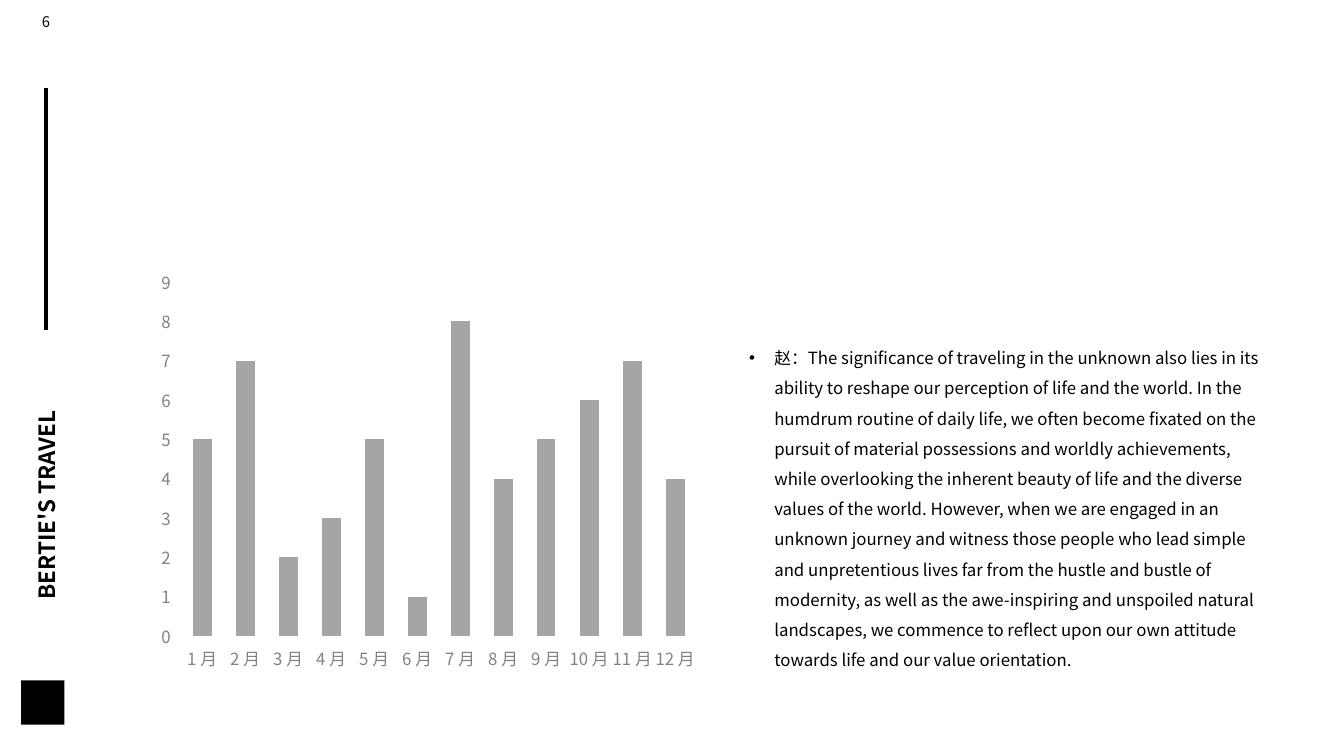
import dataclasses

import pptx
import pptx.chart.data
import pptx.dml.color
import pptx.enum.chart
import pptx.enum.shapes
import pptx.enum.text
import pptx.oxml
import pptx.oxml.ns
import pptx.util
from pptx.util import Inches


@dataclasses.dataclass(frozen=True)
class Theme:
    font: str = "Noto Sans CJK SC"
    ink: str = "000000"
    axis: str = "828282"
    bar: str = "A5A5A5"
    number_size: float = 10.5
    body_size: float = 12
    brand_size: float = 16
    rule_width: float = 3


def color(value):
    return pptx.dml.color.RGBColor.from_string(value)


def add_xml(parent, tag, **attributes):
    element = pptx.oxml.parse_xml(f"<a:{tag} {pptx.oxml.ns.nsdecls('a')}/>")
    for name, value in attributes.items():
        element.set(name, value)
    parent.append(element)


class SlideBuilder:
    def __init__(self, page, theme):
        self.page = page
        self.theme = theme

    def style_font(self, font, size, ink, bold=False):
        font.name = self.theme.font
        font.size = pptx.util.Pt(size)
        font.bold = bold
        font.color.rgb = color(ink)

    def text(self, words, left, top, width, height, size, bold=False):
        box = self.page.shapes.add_textbox(
            Inches(left), Inches(top), Inches(width), Inches(height))
        para = box.text_frame.paragraphs[0]
        para.text = words
        self.style_font(para.font, size, self.theme.ink, bold)
        return box

    def side_label(self, words, left, top, width, height):
        """Bold one-line text that reads upwards and hugs its box."""
        box = self.text(words, left, top, width, height, self.theme.brand_size, True)
        box.rotation = 270
        frame = box.text_frame
        frame.margin_left = frame.margin_right = Inches(0.02)
        frame.margin_top = frame.margin_bottom = Inches(0.02)
        frame.vertical_anchor = pptx.enum.text.MSO_ANCHOR.MIDDLE
        frame.word_wrap = False
        frame.auto_size = pptx.enum.text.MSO_AUTO_SIZE.SHAPE_TO_FIT_TEXT

    def page_number(self, words, left, top, width, height):
        frame = self.text(words, left, top, width, height, self.theme.number_size).text_frame
        frame.word_wrap = True
        frame.paragraphs[0].alignment = pptx.enum.text.PP_ALIGN.CENTER

    def rule(self, x, start, end):
        line = self.page.shapes.add_connector(
            pptx.enum.shapes.MSO_CONNECTOR.STRAIGHT,
            Inches(x), Inches(start), Inches(x), Inches(end))
        line.line.color.rgb = color(self.theme.ink)
        line.line.width = pptx.util.Pt(self.theme.rule_width)
        add_xml(line._element.spPr, "effectLst")

    def block(self, left, top, width, height):
        shape = self.page.shapes.add_shape(
            pptx.enum.shapes.MSO_SHAPE.RECTANGLE,
            Inches(left), Inches(top), Inches(width), Inches(height))
        shape.shadow.inherit = False
        shape.fill.solid()
        shape.fill.fore_color.rgb = color(self.theme.ink)
        shape.line.fill.background()

    def column_chart(self, categories, values, left, top, width, height):
        data = pptx.chart.data.CategoryChartData()
        data.categories = categories
        data.add_series("Series 1", values)
        chart = self.page.shapes.add_chart(
            pptx.enum.chart.XL_CHART_TYPE.COLUMN_CLUSTERED,
            Inches(left), Inches(top), Inches(width), Inches(height), data).chart
        chart.has_legend = False
        chart.has_title = False
        self.style_font(chart.font, self.theme.body_size, self.theme.axis)
        for axis in (chart.category_axis, chart.value_axis):
            axis.has_major_gridlines = False
            axis.format.line.fill.background()
            self.style_font(axis.tick_labels.font, self.theme.body_size, self.theme.axis)
        chart.value_axis.minimum_scale = 0
        chart.value_axis.maximum_scale = 9
        chart.value_axis.major_unit = 1
        plot = chart.plots[0]
        plot.gap_width = 129
        plot.vary_by_categories = False
        fill = plot.series[0].format.fill
        fill.solid()
        fill.fore_color.rgb = color(self.theme.bar)

    def bullet_body(self, words, left, top, width, height):
        body = self.page.placeholders[1]
        body.left, body.top = Inches(left), Inches(top)
        body.width, body.height = Inches(width), Inches(height)
        frame = body.text_frame
        frame.auto_size = pptx.enum.text.MSO_AUTO_SIZE.NONE
        frame.margin_left = 0
        frame.margin_right = Inches(0.1)
        frame.margin_top = frame.margin_bottom = Inches(0.05)
        para = frame.paragraphs[0]
        para.text = words
        para.line_spacing = 1.5
        para.space_before = pptx.util.Pt(10)
        # Hanging bullet
        properties = para._p.get_or_add_pPr()
        properties.set("marL", str(Inches(0.25)))
        properties.set("indent", str(-Inches(0.25)))
        add_xml(properties, "buChar", char="•")
        self.style_font(para.font, self.theme.body_size, self.theme.ink)
        # East Asian font for the speaker's name
        add_xml(para.runs[0]._r.get_or_add_rPr(), "ea", typeface=self.theme.font)


STORY = (
    "赵：The significance of traveling in the unknown also lies in its ability to "
    "reshape our perception of life and the world. In the humdrum routine of daily "
    "life, we often become fixated on the pursuit of material possessions and worldly "
    "achievements, while overlooking the inherent beauty of life and the diverse values "
    "of the world. However, when we are engaged in an unknown journey and witness those "
    "people who lead simple and unpretentious lives far from the hustle and bustle of "
    "modernity, as well as the awe-inspiring and unspoiled natural landscapes, we "
    "commence to reflect upon our own attitude towards life and our value orientation."
)
MONTHS = [f"{month} 月" for month in range(1, 13)]
MONTHLY_VALUES = [5, 7, 2, 3, 5, 1, 8, 4, 5, 6, 7, 4]


def main():
    deck = pptx.Presentation()
    deck.slide_width, deck.slide_height = Inches(13.33), Inches(7.5)
    page = deck.slides.add_slide(deck.slide_layouts[1])
    title = page.shapes.title._element
    title.getparent().remove(title)
    builder = SlideBuilder(page, Theme())

    # Left margin strip
    builder.side_label("BERTIE'S TRAVEL", -0.59, 4.76, 2.1, 0.31)
    builder.rule(0.46, 3.27, 0.87)
    builder.page_number("6", 0.17, 0.08, 0.57, 0.27)
    builder.block(0.21, 6.75, 0.43, 0.44)

    # Monthly chart and story
    builder.column_chart(MONTHS, MONTHLY_VALUES, 1.49, 2.59, 5.53, 4.15)
    builder.bullet_body(STORY, 7.43, 3.3, 5.21, 3.39)

    deck.save("out.pptx")


if __name__ == "__main__":
    main()
